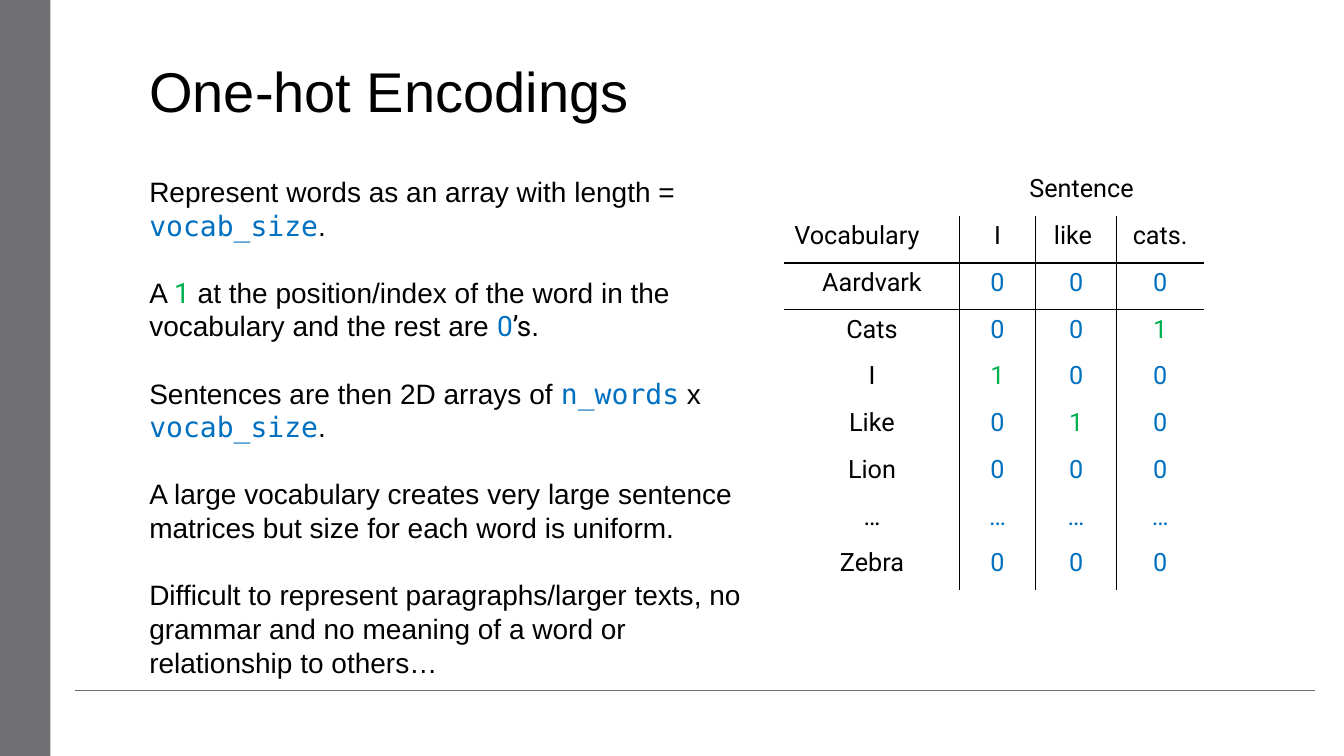
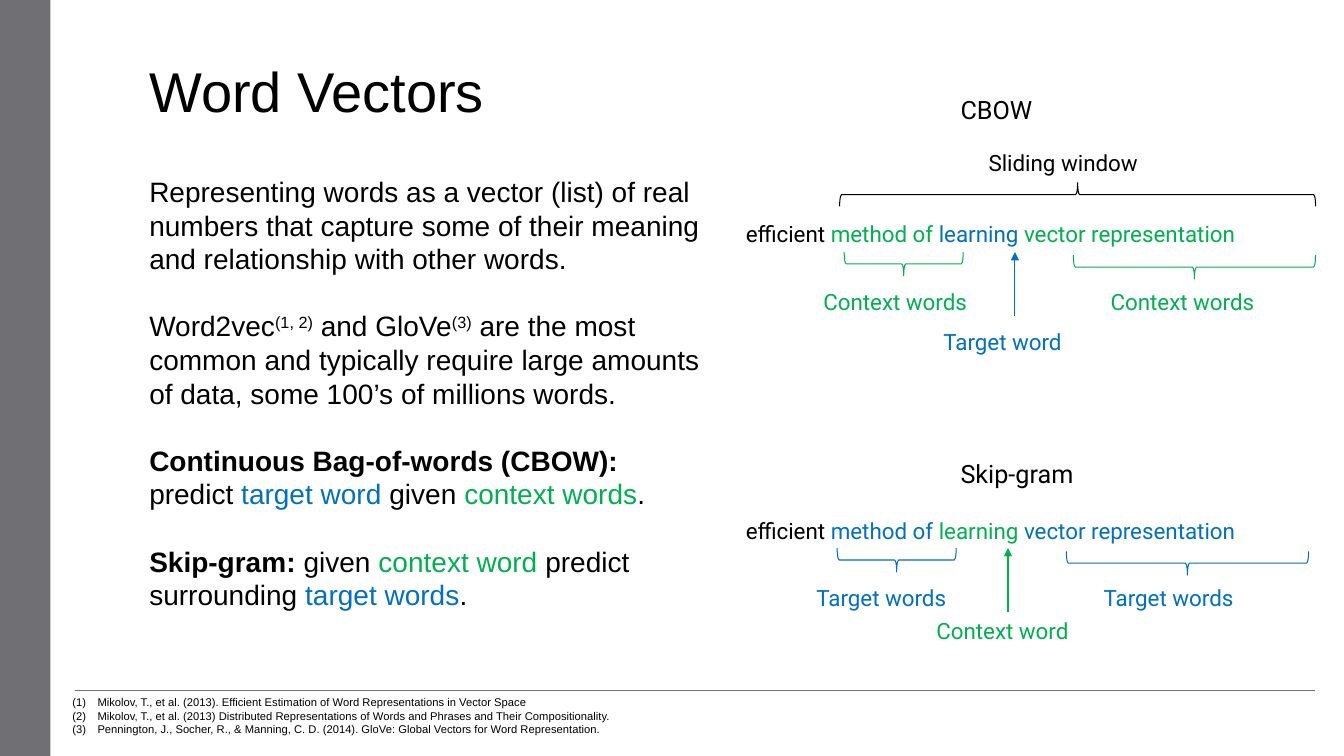
"""Builds two slides on one-hot encodings and word vectors."""
from dataclasses import dataclass
from typing import Any, NamedTuple

from lxml import etree
from pptx import Presentation
from pptx.dml.color import RGBColor
from pptx.enum.shapes import MSO_CONNECTOR, MSO_SHAPE
from pptx.enum.text import MSO_ANCHOR, MSO_AUTO_SIZE, PP_ALIGN
from pptx.oxml.ns import qn
from pptx.util import Pt

LINE, RECT, BRACE = MSO_CONNECTOR.STRAIGHT, MSO_SHAPE.RECTANGLE, MSO_SHAPE.LEFT_BRACE
TOP, MIDDLE, FIXED = MSO_ANCHOR.TOP, MSO_ANCHOR.MIDDLE, MSO_AUTO_SIZE.NONE
LEFT, CENTER = PP_ALIGN.LEFT, PP_ALIGN.CENTER

BLACK = RGBColor(0x00, 0x00, 0x00)
GREY = RGBColor(0x6F, 0x6F, 0x74)
BLUE = RGBColor(0x00, 0x70, 0xC0)
GREEN = RGBColor(0x00, 0xB0, 0x50)

SANS, MONO, ROBOTO = "Arial", "DejaVu Sans Mono", "Roboto"
PLAIN_GRID = "{2D5ABB26-0587-4C30-8999-92F81FD0307C}"

TITLE = {"size": Pt(40), "name": SANS}
BODY = {"size": Pt(20), "name": SANS}
NOTE = {"size": Pt(8), "name": SANS}
HEAD = {"size": Pt(18), "name": ROBOTO}
LABEL = {"size": Pt(16), "name": ROBOTO}


class Run(NamedTuple):
    """Piece of text with its colour and any change of format."""
    text: str
    color: RGBColor = BLACK
    change: dict[str, Any] = {}
    raised: bool = False


class Box(NamedTuple):
    """Place and size in points."""
    left: float
    top: float
    width: float
    height: float


@dataclass(frozen=True)
class Panel:
    """One word-window diagram, moved by dx and dy from the first."""
    name: str
    name_top: float
    dx: float
    dy: float
    side: str
    side_color: RGBColor
    mid: str
    mid_color: RGBColor
    mid_top: float


BOLD = {"bold": True}
CODE = {"name": MONO}
DIGIT = {"name": ROBOTO}
VOCAB = Run("vocab_size", BLUE, CODE)

HOT_TEXT = [
    [Run("Represent words as an array with length = "), VOCAB, Run(".")],
    [Run("A "), Run("1", GREEN, DIGIT),
     Run(" at the position/index of the word in the vocabulary and the rest are "),
     Run("0", BLUE, DIGIT), Run("’s", BLACK, DIGIT), Run(".")],
    [Run("Sentences are then 2D arrays of "), Run("n_words", BLUE, CODE),
     Run(" x "), VOCAB, Run(".")],
    [Run("A large vocabulary creates very large sentence matrices "
         "but size for each word is uniform.")],
    [Run("Difficult to represent paragraphs/larger texts, no grammar "
         "and no meaning of a word or relationship to others…")],
]
VECTOR_TEXT = [
    [Run("Representing words as a vector (list) of real numbers that capture "
         "some of their meaning and relationship with other words.")],
    [Run("Word2vec"), Run("(1, 2)", raised=True), Run(" and GloVe"),
     Run("(3)", raised=True),
     Run(" are the most common and typically require large amounts of data, "
         "some 100’s of millions words.")],
    [Run("Continuous Bag-of-words (CBOW):", BLACK, BOLD), Run(" predict "),
     Run("target word", BLUE), Run(" given "), Run("context words", GREEN), Run(".")],
    [Run("Skip-gram:", BLACK, BOLD), Run(" given "), Run("context word", GREEN),
     Run(" predict surrounding "), Run("target words", BLUE), Run(".")],
]
NOTES = [
    [Run("Mikolov, T., et al. (2013). Efficient Estimation of Word "
         "Representations in Vector Space")],
    [Run("Mikolov, T., et al. (2013) Distributed Representations of Words "
         "and Phrases and Their Compositionality.")],
    [Run("Pennington, J., Socher, R., & Manning, C. D. (2014). GloVe: Global "
         "Vectors for Word Representation.")],
]
GRID = [
    ["", "Sentence", "", ""],
    ["Vocabulary", "I", "like ", "cats."],
    ["Aardvark", *"000"],
    ["Cats", *"001"],
    ["I", *"100"],
    ["Like", *"010"],
    ["Lion", *"000"],
    ["…", *"………"],
    ["Zebra", *"000"],
]
WIDTHS = [125.3, 54, 58.3, 61.9]
ROW = 33.4
PANELS = [
    Panel("CBOW", 64, 0, 0, "Context", GREEN, "Target", BLUE, 231),
    Panel("Skip-gram", 324, -5, 211.5, "Target", BLUE, "Context", GREEN, 437),
]


def points(box: Box) -> list[Pt]:
    """Turns a box into lengths."""
    return [Pt(side) for side in box]


def place(shape: Any, box: Box) -> None:
    """Moves and sizes a shape."""
    for key, side in zip(Box._fields, points(box)):
        setattr(shape, key, side)


def write(para: Any, runs: list[Run], look: dict[str, Any]) -> None:
    """Adds formatted runs to a paragraph."""
    for part in runs:
        run = para.add_run()
        run.text = part.text
        for key, value in {**look, **part.change}.items():
            setattr(run.font, key, value)
        run.font.color.rgb = part.color
        if part.raised:
            run._r.get_or_add_rPr().set("baseline", "30000")


def fill(shape: Any, paras: list[list[Run]], look: dict[str, Any], gap: float = 0,
         bullet: str = "buNone", indent: float = 0, wrap: bool = True,
         anchor: MSO_ANCHOR = TOP) -> None:
    """Fills a shape with paragraphs."""
    frame = shape.text_frame
    for key, value in {"word_wrap": wrap, "auto_size": FIXED,
                       "vertical_anchor": anchor}.items():
        setattr(frame, key, value)
    for index, runs in enumerate(paras):
        para = frame.add_paragraph() if index else frame.paragraphs[0]
        props = para._p.get_or_add_pPr()
        props.set("marL", str(Pt(indent)))
        props.set("indent", str(-Pt(indent)))
        mark = etree.SubElement(props, qn("a:" + bullet))
        if bullet == "buAutoNum":
            mark.set("type", "arabicParenBoth")
        para.alignment = LEFT
        para.space_before = Pt(gap if index else 0)
        write(para, runs, look)


def label(slide: Any, box: Box, runs: list[Run], look: dict[str, Any],
          wrap: bool = False) -> None:
    """Adds a one-line text box."""
    fill(slide.shapes.add_textbox(*points(box)), [runs], look, wrap=wrap)


def stroke(slide: Any, start: tuple[float, float], end: tuple[float, float],
           color: RGBColor, arrow: bool = False) -> Any:
    """Draws a thin line or arrow."""
    line = slide.shapes.add_connector(LINE, *(Pt(spot) for spot in start + end))
    line.line.color.rgb = color
    line.line.width = Pt(0.75)
    if arrow:
        etree.SubElement(line.line._get_or_add_ln(), qn("a:tailEnd"), type="triangle")
    etree.SubElement(line.element.spPr, qn("a:effectLst"))
    return line


def brace(slide: Any, mid: tuple[float, float], length: float, turn: int,
          color: RGBColor) -> None:
    """Draws a level brace about its middle."""
    depth = 17
    box = Box(mid[0] - depth / 2, mid[1] - length / 2, depth, length)
    shape = slide.shapes.add_shape(BRACE, *points(box))
    shape.rotation = turn
    shape.shadow.inherit = False
    shape.fill.background()
    shape.line.color.rgb = color
    shape.line.width = Pt(0.75)


def dress(layout: Any, slide: Any) -> None:
    """Moves the band and foot line into the layout."""
    band = slide.shapes.add_shape(RECT, *points(Box(0, 0, 36, 540)))
    band.shadow.inherit = False
    band.fill.solid()
    band.fill.fore_color.rgb = GREY
    band.line.fill.background()
    rule = stroke(slide, (53.5, 493.2), (939.5, 493.2), GREY)
    for shape in (band, rule):
        layout.shapes.element.append(shape.element)


def start(deck: Any, title: str, text: list[list[Run]], box: Box) -> Any:
    """Adds a slide with its title and body."""
    slide = deck.slides.add_slide(deck.slide_layouts[1])
    head, body = slide.placeholders
    place(head, Box(99.4, 36.7, 818.6, 55.4))
    fill(head, [[Run(title)]], TITLE, anchor=MIDDLE)
    place(body, box)
    fill(body, text, BODY, gap=24)
    return slide


def border(cell: Any, *sides: str) -> None:
    """Draws black borders on the named sides of a cell."""
    props = cell._tc.get_or_add_tcPr()
    for index, side in enumerate(sides):
        line = etree.Element(qn("a:" + side), w=str(Pt(1)))
        paint = etree.SubElement(line, qn("a:solidFill"))
        etree.SubElement(paint, qn("a:srgbClr"), val=str(BLACK))
        props.insert(index, line)


def matrix(slide: Any) -> None:
    """Adds the one-hot table."""
    box = Box(560.2, 121, sum(WIDTHS), ROW * len(GRID))
    frame = slide.shapes.add_table(len(GRID), len(WIDTHS), *points(box))
    table = frame.table
    for style in frame.element.iter(qn("a:tableStyleId")):
        style.text = PLAIN_GRID
    table.first_row = table.horz_banding = False
    for column, width in zip(table.columns, WIDTHS):
        column.width = Pt(width)
    for row, words in enumerate(GRID):
        table.rows[row].height = Pt(ROW)
        for col, word in enumerate(words):
            cell = table.cell(row, col)
            cell.fill.background()
            para = cell.text_frame.paragraphs[0]
            para.alignment = LEFT if word == "Vocabulary" else CENTER
            para.font.size = HEAD["size"]
            color = BLACK if row < 2 or col == 0 else GREEN if word == "1" else BLUE
            if word:
                write(para, [Run(word, color)], HEAD)
            rules = {"lnL": row > 0 and col in (1, 2), "lnR": row > 0 and col in (0, 1),
                     "lnT": row == 2, "lnB": row == 1}
            border(cell, *(side for side, shown in rules.items() if shown))
    table.cell(0, 1).merge(table.cell(0, 3))


def window(slide: Any, panel: Panel) -> None:
    """Draws one word-window diagram."""
    dx, dy, side, mid = panel.dx, panel.dy, panel.side_color, panel.mid_color
    label(slide, Box(679, panel.name_top, 115, 29), [Run(panel.name)], HEAD)
    label(slide, Box(525.6, 154 + dy, 434, 26.6),
          [Run("efficient "), Run("method of ", side), Run("learning ", mid),
           Run("vector representation", side)], LABEL, wrap=True)
    for spot, length, left in (((645.5, 188.5), 85, 581), ((853.2, 190.8), 173, 786.2)):
        brace(slide, (spot[0] + dx, spot[1] + dy), length, 270, side)
        label(slide, Box(left + dx, 202.3 + dy, 134, 26.6),
              [Run(panel.side + " words", side)], LABEL)
    stroke(slide, (725 + dx, 225.4 + dy), (725 + dx, 180 + dy), mid, arrow=True)
    label(slide, Box(666.7 + dx, panel.mid_top, 120, 26.6),
          [Run(panel.mid + " word", mid)], LABEL)


def main() -> None:
    """Builds and saves the deck."""
    deck = Presentation()
    deck.slide_width, deck.slide_height = Pt(960), Pt(540)

    slide = start(deck, "One-hot Encodings", HOT_TEXT, Box(99.4, 121, 450.7, 370.8))
    dress(deck.slide_layouts[1], slide)
    matrix(slide)

    slide = start(deck, "Word Vectors", VECTOR_TEXT, Box(99.4, 121, 411.8, 322.6))
    notes = slide.shapes.add_textbox(*points(Box(44.6, 493.2, 856.8, 36)))
    fill(notes, NOTES, NOTE, bullet="buAutoNum", indent=18)
    for panel in PANELS:
        window(slide, panel)
    brace(slide, (769.7, 139), 340, 90, BLACK)
    label(slide, Box(699, 103, 140, 26.6), [Run("Sliding window")], LABEL)

    deck.save("out.pptx")


if __name__ == "__main__":
    main()
